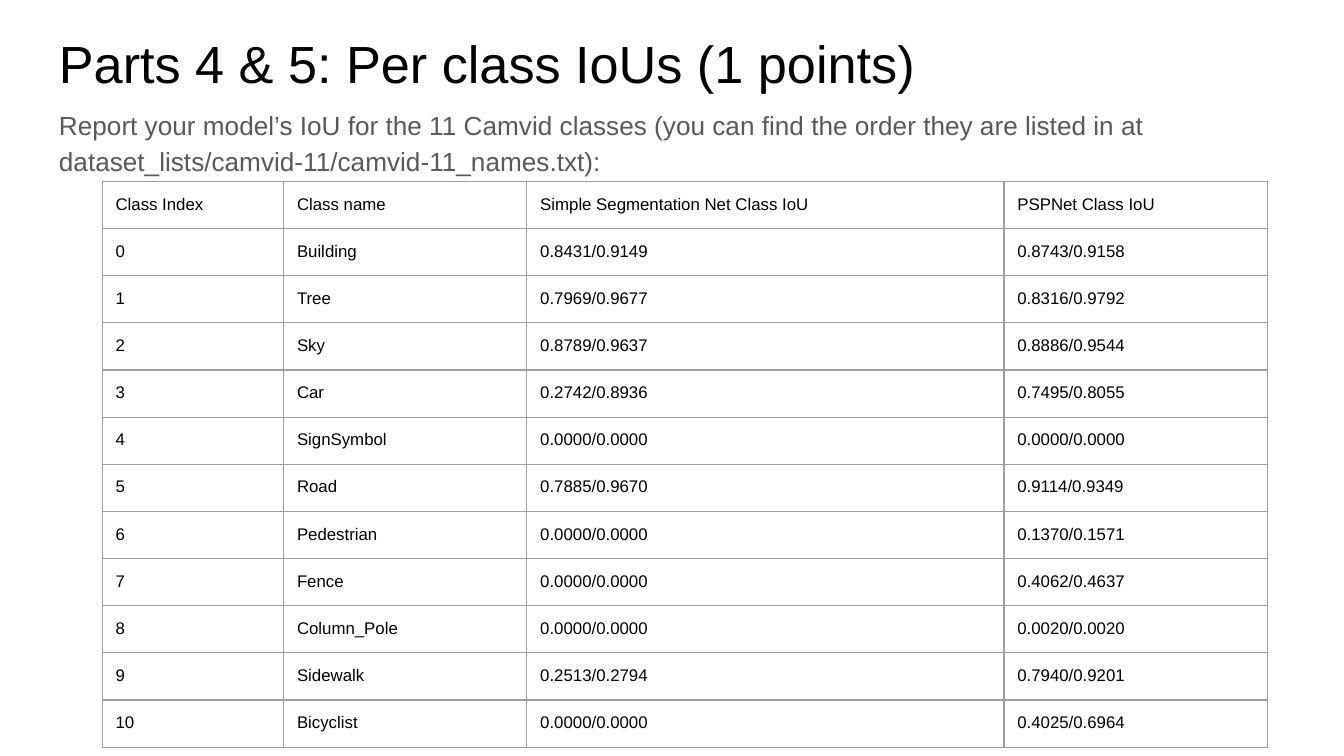
from dataclasses import dataclass

from pptx import Presentation
from pptx import util as u
from pptx.dml import color
from pptx.enum import text
from pptx.oxml import ns, parse_xml


@dataclass(frozen=True)
class Theme:
    """Font, colours and type sizes of the slide."""
    font: str = "Arial"
    ink: str = "000000"
    muted: str = "595959"
    grid: str = "9E9E9E"
    title_size: float = 28
    body_size: float = 14
    cell_size: float = 9
    grid_width: float = 0.75
    inset: float = 0.1


THEME = Theme()
HEADINGS = ("Class Index", "Class name", "Simple Segmentation Net Class IoU", "PSPNet Class IoU")
CLASS_IOUS = (
    ("Building", "0.8431/0.9149", "0.8743/0.9158"),
    ("Tree", "0.7969/0.9677", "0.8316/0.9792"),
    ("Sky", "0.8789/0.9637", "0.8886/0.9544"),
    ("Car", "0.2742/0.8936", "0.7495/0.8055"),
    ("SignSymbol", "0.0000/0.0000", "0.0000/0.0000"),
    ("Road", "0.7885/0.9670", "0.9114/0.9349"),
    ("Pedestrian", "0.0000/0.0000", "0.1370/0.1571"),
    ("Fence", "0.0000/0.0000", "0.4062/0.4637"),
    ("Column_Pole", "0.0000/0.0000", "0.0020/0.0020"),
    ("Sidewalk", "0.2513/0.2794", "0.7940/0.9201"),
    ("Bicyclist", "0.0000/0.0000", "0.4025/0.6964"),
)
COLUMN_WIDTHS = (1.35, 1.81, 3.55, 1.96)
ROW_HEIGHTS = (0,) + (0.3,) * len(CLASS_IOUS)


def set_insets(holder):
    """Give a text frame or table cell the same inset on every side."""
    holder.margin_left = holder.margin_right = u.Inches(THEME.inset)
    holder.margin_top = holder.margin_bottom = u.Inches(THEME.inset)


def add_run(paragraph, wording, size, ink):
    """Append one styled run to a paragraph."""
    run = paragraph.add_run()
    run.text = wording
    run.font.name = THEME.font
    run.font.size = u.Pt(size)
    run.font.color.rgb = color.RGBColor.from_string(ink)


def add_text(slide, box, wording, size, ink, line_spacing=1.0):
    """Add a wrapped, top-anchored text box."""
    frame = slide.shapes.add_textbox(*map(u.Inches, box)).text_frame
    frame.word_wrap = True
    frame.vertical_anchor = text.MSO_ANCHOR.TOP
    set_insets(frame)
    frame.paragraphs[0].line_spacing = line_spacing
    add_run(frame.paragraphs[0], wording, size, ink)


def add_borders(cell):
    """Draw the grid line on all four sides of a cell."""
    properties = cell._tc.get_or_add_tcPr()
    for position, side in enumerate(("lnL", "lnR", "lnT", "lnB")):
        properties.insert(position, parse_xml(
            f'<a:{side} {ns.nsdecls("a")} w="{u.Pt(THEME.grid_width)}">'
            f'<a:solidFill><a:srgbClr val="{THEME.grid}"/></a:solidFill></a:{side}>'))


def fill_cell(cell, wording):
    """Write one unfilled, bordered table cell."""
    cell.fill.background()
    set_insets(cell)
    add_run(cell.text_frame.paragraphs[0], wording, THEME.cell_size, THEME.ink)
    add_borders(cell)


def add_iou_table(slide, box):
    """Add the table of IoUs, numbering the classes from zero."""
    rows = [HEADINGS] + [(str(index), *ious) for index, ious in enumerate(CLASS_IOUS)]
    frame = slide.shapes.add_table(len(rows), len(HEADINGS), *map(u.Inches, box))
    table = frame.table
    table.first_row = table.horz_banding = False
    for column, width in zip(table.columns, COLUMN_WIDTHS):
        column.width = u.Inches(width)
    for row, height, wordings in zip(table.rows, ROW_HEIGHTS, rows):
        row.height = u.Inches(height)
        for cell, wording in zip(row.cells, wordings):
            fill_cell(cell, wording)
    frame.width, frame.height = map(u.Inches, box[2:])


def main():
    """Build and save the slide."""
    deck = Presentation()
    deck.slide_width = u.Inches(10)
    deck.slide_height = deck.slide_width * 9 // 16
    slide = deck.slides.add_slide(deck.slide_layouts[6])
    add_text(slide, (0.34, 0.13, 9.32, 0.63), "Parts 4 & 5: Per class IoUs (1 points)",
             THEME.title_size, THEME.ink)
    add_text(slide, (0.34, 0.68, 9.32, 0.72),
             "Report your model’s IoU for the 11 Camvid classes (you can find the order "
             "they are listed in at dataset_lists/camvid-11/camvid-11_names.txt):",
             THEME.body_size, THEME.muted, line_spacing=1.15)
    add_iou_table(slide, (0.76, 1.35, 8.66, 4.2))
    deck.save("out.pptx")


if __name__ == "__main__":
    main()
